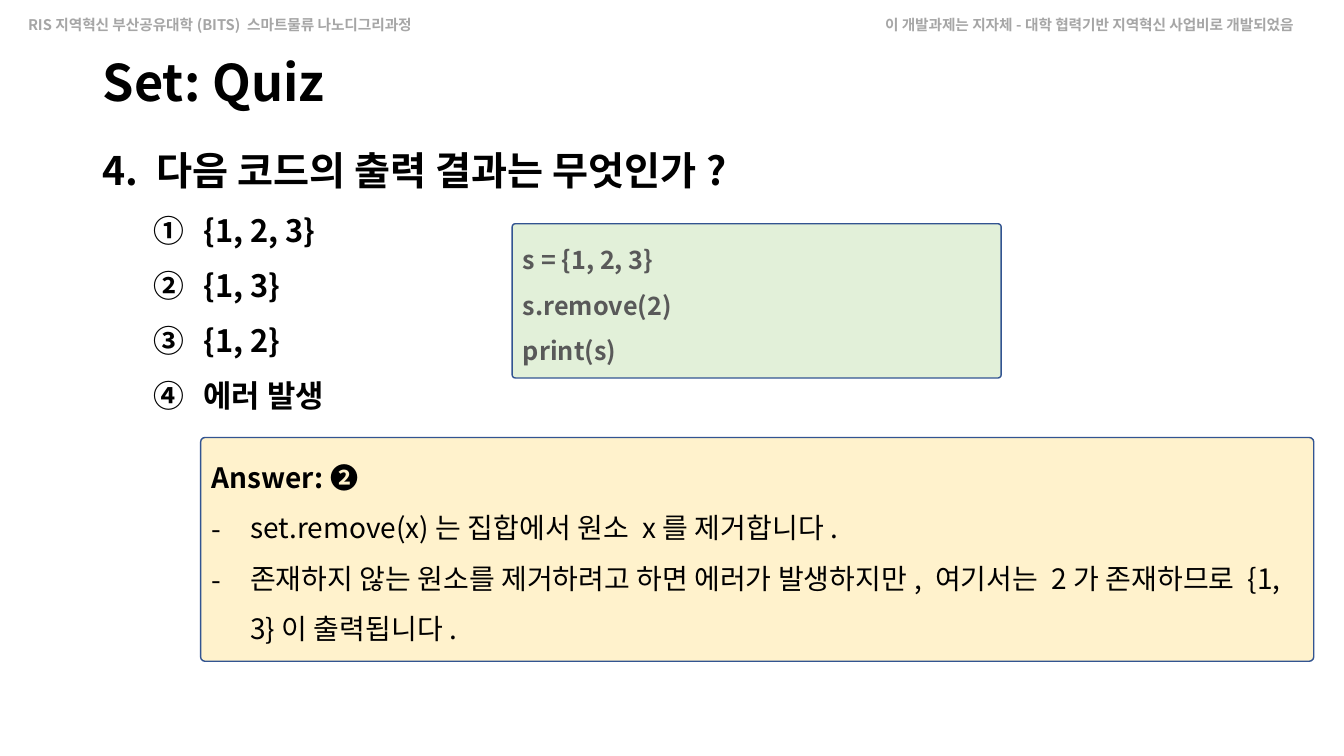
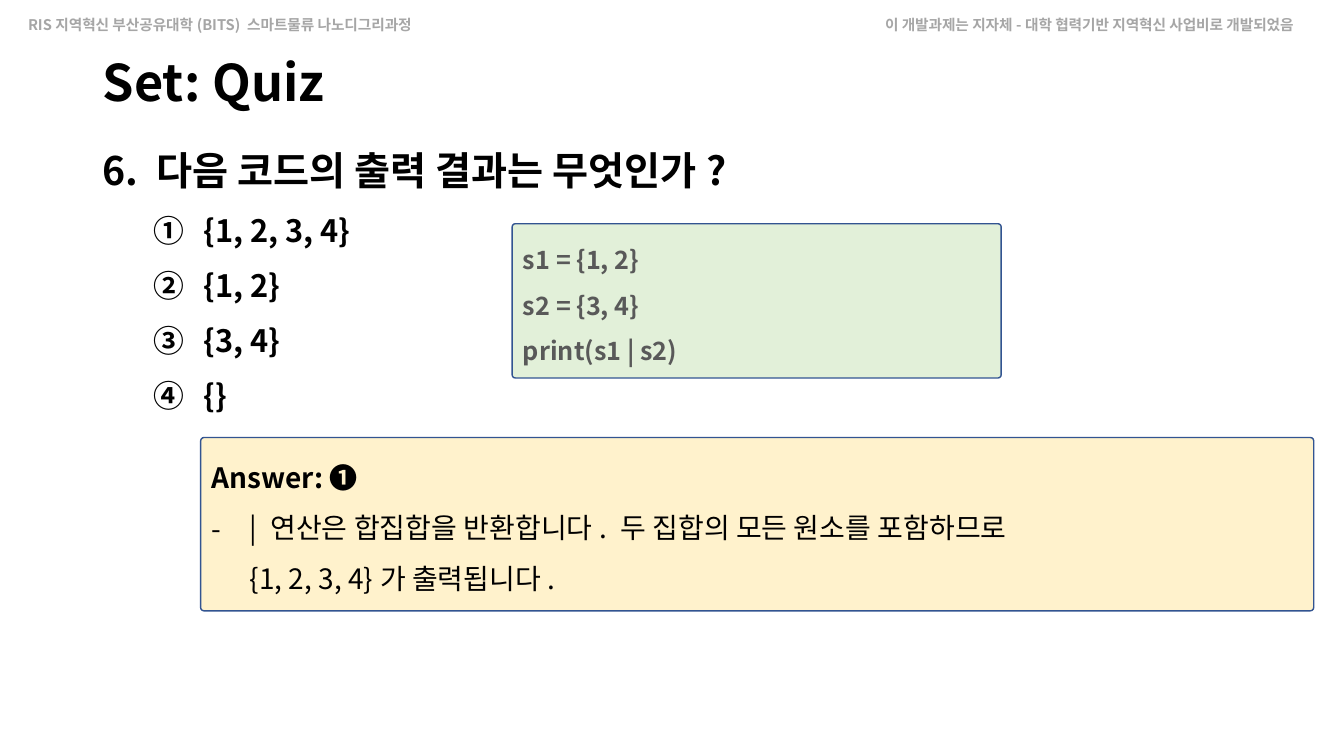
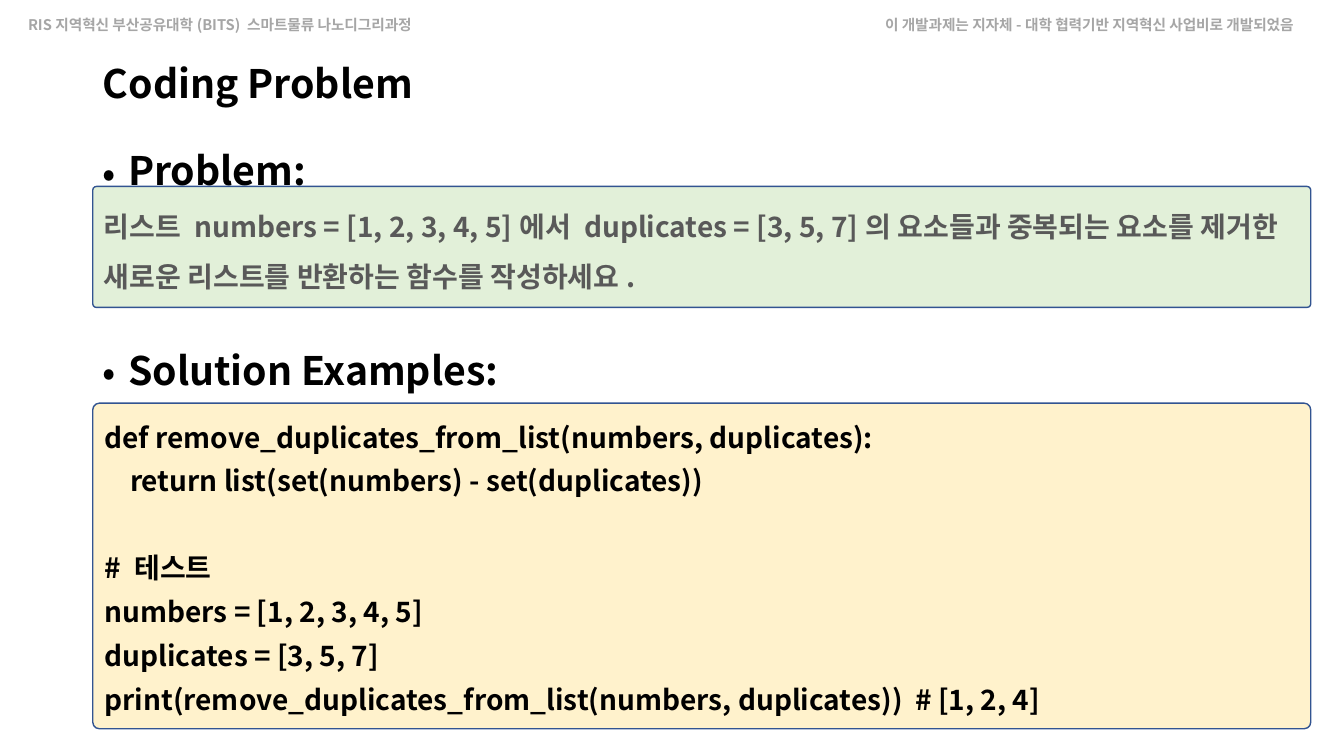
from dataclasses import dataclass

from lxml.etree import SubElement
from pptx import Presentation
from pptx.dml.color import RGBColor
from pptx.enum.shapes import MSO_SHAPE
from pptx.enum.text import MSO_ANCHOR, MSO_AUTO_SIZE, PP_ALIGN
from pptx.oxml.ns import qn
from pptx.slide import Slide
from pptx.text.text import TextFrame
from pptx.util import Emu, Pt

EMU_PER_PX = 9144  # 100 px to the inch


def px(length: int) -> Emu:
    return Emu(length * EMU_PER_PX)


@dataclass(frozen=True)
class Theme:
    font: str = "Noto Sans CJK KR"
    ink: str = "000000"
    code_ink: str = "595959"
    header_ink: str = "A6A6A6"
    code_fill: str = "E2F0D9"
    answer_fill: str = "FFF2CC"
    outline: str = "325491"
    header_size: float = 10.5
    title_size: int = 36
    heading_size: int = 28
    option_size: int = 22
    answer_size: int = 20
    code_size: int = 18


THEME = Theme()


@dataclass(frozen=True)
class Box:
    left: int
    top: int
    width: int
    height: int

    @property
    def emu(self) -> tuple[Emu, Emu, Emu, Emu]:
        return px(self.left), px(self.top), px(self.width), px(self.height)


@dataclass(frozen=True)
class Style:
    size: float
    color: str = THEME.ink
    bold: bool = True
    spacing: float = 1.0
    before: int = 0
    level: int = 0
    margin: int = 0
    hanging: int = 0
    bullet: str = ""
    numbering: str = ""


@dataclass(frozen=True)
class Line:
    text: str
    style: Style


@dataclass(frozen=True)
class Panel:
    box: Box
    fill: str
    corner: float
    lines: list[Line]


@dataclass(frozen=True)
class Quiz:
    question: str
    options: list[str]
    code: list[str]
    answer: str
    reasons: list[str]
    answer_height: int


# Paragraph styles
HEADER = Style(THEME.header_size, THEME.header_ink)
QUIZ_TITLE = Style(THEME.title_size, spacing=0.9)
PROBLEM_TITLE = Style(THEME.heading_size, spacing=0.9)
QUESTION = Style(THEME.heading_size, spacing=1.5)
OPTION = Style(THEME.option_size, spacing=1.3, before=5, level=1, margin=100,
               hanging=50, numbering="circleNumDbPlain")
ANSWER = Style(THEME.answer_size, spacing=1.5)
REASON = Style(THEME.answer_size, bold=False, spacing=1.5, margin=38, hanging=38, bullet="-")
CODE = Style(THEME.code_size, THEME.code_ink, spacing=1.5)
TASK = Style(THEME.answer_size, THEME.code_ink, spacing=1.5)
SECTION = Style(THEME.heading_size, spacing=1.5, margin=25, hanging=25, bullet="•")
LATER_SECTION = Style(THEME.heading_size, spacing=1.5, before=92, margin=25,
                      hanging=25, bullet="•")
SOLUTION = Style(THEME.answer_size, spacing=1.3)
SOLUTION_TEST = Style(THEME.answer_size, spacing=1.3, before=31)

# Shared places
TITLE_BOX = Box(92, 40, 1150, 90)
QUIZ_BODY = Box(92, 117, 1228, 633)
PROBLEM_BODY = Box(92, 117, 1208, 633)
HEADERS = [
    (Box(18, 11, 424, 28), "RIS지역혁신 부산공유대학(BITS) 스마트물류 나노디그리과정", False),
    (Box(868, 11, 466, 28), "이 개발과제는 지자체-대학 협력기반 지역혁신 사업비로 개발되었음", True),
]

# Content
QUIZZES = [
    Quiz("4. 다음 코드의 출력 결과는 무엇인가?",
         ["{1, 2, 3}", "{1, 3}", "{1, 2}", "에러 발생"],
         ["s = {1, 2, 3}", "s.remove(2)", "print(s)"],
         "Answer: ❷",
         ["set.remove(x)는 집합에서 원소 x를 제거합니다.",
          "존재하지 않는 원소를 제거하려고 하면 에러가 발생하지만, "
          "여기서는 2가 존재하므로 {1, 3}이 출력됩니다."],
         222),
    Quiz("6. 다음 코드의 출력 결과는 무엇인가?",
         ["{1, 2, 3, 4}", "{1, 2}", "{3, 4}", "{}"],
         ["s1 = {1, 2}", "s2 = {3, 4}", "print(s1 | s2)"],
         "Answer: ❶",
         ["| 연산은 합집합을 반환합니다. 두 집합의 모든 원소를 포함하므로 \v"
          "{1, 2, 3, 4}가 출력됩니다."],
         172),
]
PROBLEM = ("리스트 numbers = [1, 2, 3, 4, 5]에서 duplicates = [3, 5, 7]의 요소들과 "
           "중복되는 요소를 제거한 새로운 리스트를 반환하는 함수를 작성하세요.")
FUNCTION_CODE = [
    "def remove_duplicates_from_list(numbers, duplicates):",
    "    return list(set(numbers) - set(duplicates))",
]
TEST_HEADING = "# 테스트"
TEST_CODE = [
    "numbers = [1, 2, 3, 4, 5]",
    "duplicates = [3, 5, 7]",
    "print(remove_duplicates_from_list(numbers, duplicates))  # [1, 2, 4]",
]


def styled(texts: list[str], style: Style) -> list[Line]:
    return [Line(text, style) for text in texts]


def write(frame: TextFrame, lines: list[Line], anchor: MSO_ANCHOR = MSO_ANCHOR.TOP,
          wrap: bool = True) -> None:
    frame.word_wrap = wrap
    frame.auto_size = MSO_AUTO_SIZE.NONE
    frame.vertical_anchor = anchor
    for index, line in enumerate(lines):
        style = line.style
        paragraph = frame.add_paragraph() if index else frame.paragraphs[0]
        paragraph.text = line.text
        paragraph.level = style.level
        paragraph.alignment = PP_ALIGN.LEFT
        paragraph.line_spacing = style.spacing
        paragraph.space_before = Pt(style.before)
        paragraph.space_after = Pt(0)
        # Indent and bullet
        props = paragraph._p.get_or_add_pPr()
        props.set("marL", str(px(style.margin)))
        props.set("indent", str(-px(style.hanging)))
        if style.numbering:
            SubElement(props, qn("a:buFont"), typeface="+mj-lt")
            SubElement(props, qn("a:buAutoNum"), type=style.numbering)
        elif style.bullet:
            SubElement(props, qn("a:buFont"), typeface=THEME.font)
            SubElement(props, qn("a:buChar"), char=style.bullet)
        else:
            SubElement(props, qn("a:buNone"))
        # Latin and East Asian font
        font = paragraph.font
        font.size = Pt(style.size)
        font.bold = style.bold
        font.color.rgb = RGBColor.from_string(style.color)
        font.name = THEME.font
        SubElement(props.find(qn("a:defRPr")), qn("a:ea"), typeface=THEME.font)


def add_page(deck: Presentation, title: Line, body_box: Box, body: list[Line]) -> Slide:
    slide = deck.slides.add_slide(deck.slide_layouts[1])
    for box, text, wrap in HEADERS:
        header = slide.shapes.add_textbox(*box.emu)
        write(header.text_frame, [Line(text, HEADER)], wrap=wrap)
    heading, content = slide.placeholders
    for holder, box in ((heading, TITLE_BOX), (content, body_box)):
        holder.left, holder.top, holder.width, holder.height = box.emu
    write(heading.text_frame, [title], MSO_ANCHOR.MIDDLE)
    write(content.text_frame, body)
    return slide


def add_panel(slide: Slide, panel: Panel) -> None:
    card = slide.shapes.add_shape(MSO_SHAPE.ROUNDED_RECTANGLE, *panel.box.emu)
    card.adjustments[0] = panel.corner
    card.shadow.inherit = False
    card.fill.solid()
    card.fill.fore_color.rgb = RGBColor.from_string(panel.fill)
    card.line.color.rgb = RGBColor.from_string(THEME.outline)
    card.line.width = Pt(1)
    write(card.text_frame, panel.lines)


def add_quiz(deck: Presentation, quiz: Quiz) -> None:
    slide = add_page(deck, Line("Set: Quiz", QUIZ_TITLE), QUIZ_BODY,
                     [Line(quiz.question, QUESTION), *styled(quiz.options, OPTION)])
    add_panel(slide, Panel(Box(199, 434, 1104, quiz.answer_height), THEME.answer_fill, 0.02,
                           [Line(quiz.answer, ANSWER), *styled(quiz.reasons, REASON)]))
    add_panel(slide, Panel(Box(508, 222, 485, 153), THEME.code_fill, 0.02,
                           styled(quiz.code, CODE)))


def add_coding_problem(deck: Presentation) -> None:
    slide = add_page(deck, Line("Coding Problem", PROBLEM_TITLE), PROBLEM_BODY,
                     [Line("Problem:", SECTION), Line("Solution Examples:", LATER_SECTION)])
    add_panel(slide, Panel(Box(92, 185, 1208, 120), THEME.code_fill, 0.03,
                           [Line(PROBLEM, TASK)]))
    add_panel(slide, Panel(Box(92, 400, 1208, 323), THEME.answer_fill, 0.02,
                           [*styled(FUNCTION_CODE, SOLUTION),
                            Line(TEST_HEADING, SOLUTION_TEST),
                            *styled(TEST_CODE, SOLUTION)]))


def main() -> None:
    deck = Presentation()
    deck.slide_width, deck.slide_height = px(1333), px(750)
    for quiz in QUIZZES:
        add_quiz(deck, quiz)
    add_coding_problem(deck)
    deck.save("out.pptx")


if __name__ == "__main__":
    main()
